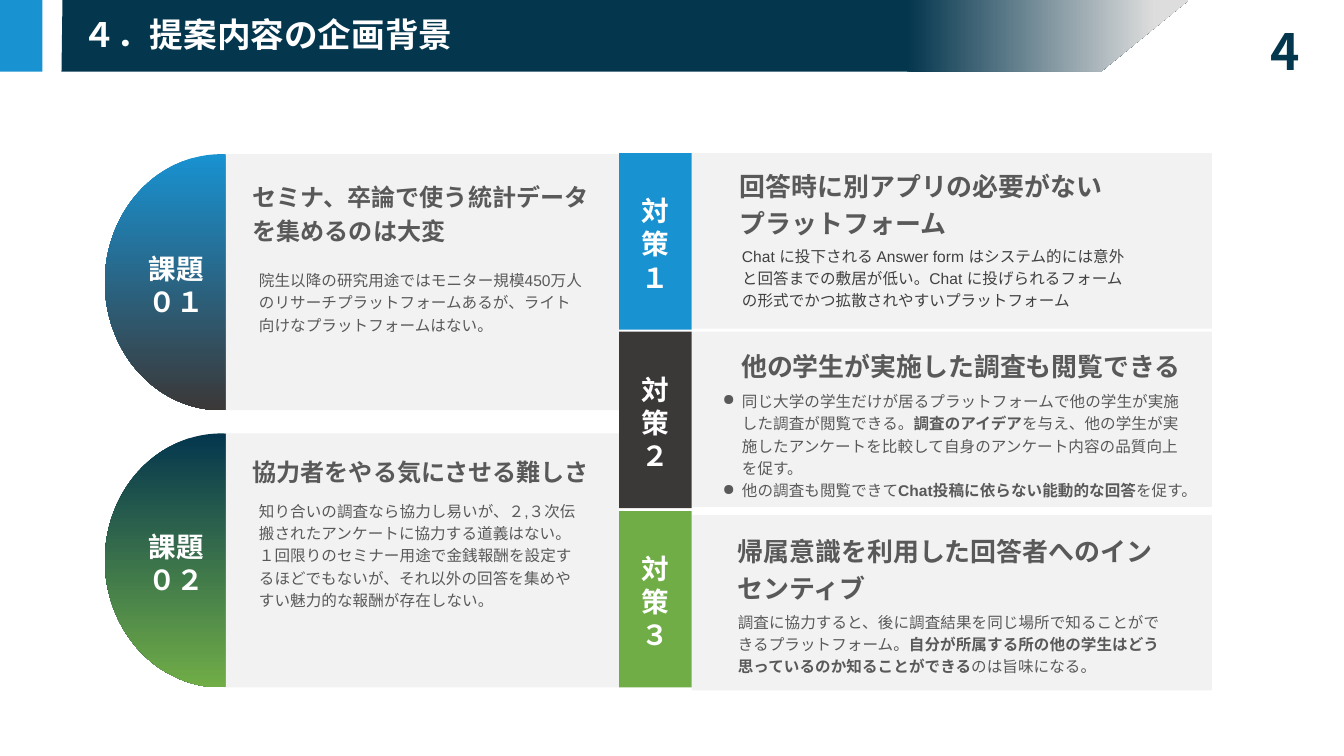
from dataclasses import dataclass

from lxml import etree
from pptx import Presentation
from pptx.dml.color import RGBColor
from pptx.enum.shapes import MSO_SHAPE
from pptx.enum.text import MSO_ANCHOR, MSO_AUTO_SIZE, PP_ALIGN
from pptx.oxml.ns import qn
from pptx.util import Inches, Pt

RECT, CHORD = MSO_SHAPE.RECTANGLE, MSO_SHAPE.CHORD
LEFT, CENTER, RIGHT = PP_ALIGN.LEFT, PP_ALIGN.CENTER, PP_ALIGN.RIGHT
TOP, MIDDLE = MSO_ANCHOR.TOP, MSO_ANCHOR.MIDDLE


@dataclass(frozen=True)
class Theme:
    navy: str = "04364E"
    blue: str = "1892D1"
    green: str = "70AD47"
    dark: str = "3B3838"
    silver: str = "DDDDDD"
    card: str = "F2F2F2"
    white: str = "FFFFFF"
    text: str = "595959"
    strong: str = "404040"
    latin: str = "Arial"
    cjk: str = "Noto Sans CJK JP"
    number: float = 35.7
    title: float = 24
    label: float = 19.7
    measure_head: float = 18.5
    issue_head: float = 17.2
    body: float = 11.1


T = Theme()


def style_run(r, size, color, bold, font):
    for name, value in {"size": Pt(size), "bold": bold, "name": font}.items():
        setattr(r.font, name, value)
    r.font.color.rgb = RGBColor.from_string(color)
    etree.SubElement(r._r.get_or_add_rPr(), qn("a:ea")).set("typeface", T.cjk)


def add_bullet(p):
    pPr = p._p.get_or_add_pPr()
    pPr.set("marL", str(Inches(0.19)))
    pPr.set("indent", str(-Inches(0.19)))
    etree.SubElement(pPr, qn("a:buChar")).set("char", "●")


def write(shape, paragraphs, size, color, bold=False, font=T.latin, align=LEFT,
          anchor=TOP, spacing=None, bullets=False, bottom=0.05):
    """Each paragraph is a list of runs; every second run is bold."""
    tf = shape.text_frame
    frame = {"word_wrap": True, "auto_size": MSO_AUTO_SIZE.NONE, "vertical_anchor": anchor,
             "margin_left": Inches(0.1), "margin_right": Inches(0.1),
             "margin_top": Inches(0.05), "margin_bottom": Inches(bottom)}
    for name, value in frame.items():
        setattr(tf, name, value)
    for i, runs in enumerate(paragraphs):
        p = tf.add_paragraph() if i else tf.paragraphs[0]
        if bullets:
            add_bullet(p)
        p.alignment = align
        if spacing:
            p.line_spacing = spacing
        for j, text in enumerate(runs):
            r = p.add_run()
            r.text = text
            style_run(r, size, color, bold or j % 2 == 1, font)


def add_text(s, box, paragraphs, size, color, **options):
    write(s.shapes.add_textbox(*map(Inches, box)), paragraphs, size, color, **options)


def fill_gradient(shape, stops, angle):
    """Stops are (percent, colour); the angle runs clockwise."""
    shape.fill.gradient()
    grad = shape._element.spPr.find(qn("a:gradFill"))
    stop_list = grad.find(qn("a:gsLst"))
    stop_list.clear()
    for percent, color in stops:
        gs = etree.SubElement(stop_list, qn("a:gs"), pos=str(percent * 1000))
        etree.SubElement(gs, qn("a:srgbClr"), val=color)
    grad.find(qn("a:lin")).set("ang", str(angle * 60000))


def finish(shape, color=None):
    shape.shadow.inherit = False
    shape.line.fill.background()
    if color:
        shape.fill.solid()
        shape.fill.fore_color.rgb = RGBColor.from_string(color)
    return shape


def add_block(s, box, color=None, kind=RECT):
    return finish(s.shapes.add_shape(kind, *map(Inches, box)), color)


def add_header(s, title, number):
    builder = s.shapes.build_freeform(Inches(0.62), 0)
    corners = [(11.79, 0), (10.92, 0.71), (0.61, 0.71)]
    builder.add_line_segments([(Inches(x), Inches(y)) for x, y in corners])
    banner = finish(builder.convert_to_shape())
    fill_gradient(banner, [(0, T.navy), (75, T.navy), (97, T.silver)], 0)
    add_block(s, (0, 0, 0.42, 0.71), T.blue)
    add_text(s, (11.34, 0.24, 1.65, 0.52), [[number]], T.number, T.navy, bold=True,
             font=T.cjk, align=RIGHT, anchor=MIDDLE)
    heading = s.shapes.title
    place = {"left": 0.72, "top": 0.09, "width": 3.98, "height": 0.5}
    for name, value in place.items():
        setattr(heading, name, Inches(value))
    write(heading, [[title]], T.title, T.white, bold=True)
    s.shapes._spTree.append(heading._element)  # bring the title in front of the banner


def add_issue(s, top, height, number, colors, head, head_top, body, body_top):
    chord = add_block(s, (1.04, top, 2.31, height), kind=CHORD)
    chord.adjustments[0], chord.adjustments[1] = 51.83, 163.45
    fill_gradient(chord, [(0, colors[0]), (100, colors[1])], 90)
    write(chord, [["課題"], [number]], T.label, T.white, bold=True, anchor=MIDDLE, bottom=0)
    add_block(s, (2.24, top, 3.9, height), T.card)
    add_text(s, (2.41, head_top, 3.74, 0.78), [[head]], T.issue_head, T.text,
             bold=True, spacing=1.2)
    add_text(s, (2.47, body_top, 3.41, 1.21), [[body]], T.body, T.text, spacing=1.2)


def add_measure(s, top, card_top, label, color, head, head_box, body, body_box,
                head_align=LEFT, body_color=T.text):
    add_block(s, (6.86, card_top, 5.16, 1.74), T.card)
    tab = add_block(s, (6.14, top, 0.72, 1.75), color)
    write(tab, label, T.label, T.white, bold=True, font=T.cjk, align=CENTER,
          anchor=MIDDLE, bottom=0)
    add_text(s, head_box, [[head]], T.measure_head, T.text, bold=True,
             align=head_align, spacing=1.2)
    add_text(s, body_box, body, T.body, body_color, spacing=1.2, bullets=len(body) > 1)


def main():
    prs = Presentation()
    prs.slide_width, prs.slide_height = Inches(13.33), Inches(7.5)
    s = prs.slides.add_slide(prs.slide_layouts[5])
    add_header(s, "４．提案内容の企画背景", "4")

    add_issue(s, 1.53, 2.54, "０１", (T.blue, T.dark),
              "セミナ、卒論で使う統計データを集めるのは大変", 1.7,
              "院生以降の研究用途ではモニター規模450万人のリサーチプラットフォームあるが、"
              "ライト向けなプラットフォームはない。", 2.6)
    add_issue(s, 4.3, 2.52, "０２", (T.navy, T.green),
              "協力者をやる気にさせる難しさ", 4.43,
              "知り合いの調査なら協力し易いが、２,３次伝搬されたアンケートに協力する道義はない。"
              "１回限りのセミナー用途で金銭報酬を設定するほどでもないが、"
              "それ以外の回答を集めやすい魅力的な報酬が存在しない。", 4.89)

    add_measure(s, 1.52, 1.52, [["対策"], ["１"]], T.blue,
                "回答時に別アプリの必要がないプラットフォーム", (7.24, 1.58, 3.86, 0.83),
                [["Chat に投下される Answer form はシステム的には意外と回答までの敷居が低い。"
                  "Chat に投げられるフォームの形式でかつ拡散されやすいプラットフォーム"]],
                (7.26, 2.36, 4.09, 0.76), body_color=T.strong)
    add_measure(s, 3.29, 3.29, [["対策２"]], T.dark,
                "他の学生が実施した調査も閲覧できる", (7.24, 3.37, 4.58, 0.45),
                [["同じ大学の学生だけが居るプラットフォームで他の学生が実施した調査が閲覧できる。",
                  "調査のアイデア",
                  "を与え、他の学生が実施したアンケートを比較して"
                  "自身のアンケート内容の品質向上を促す。"],
                 ["他の調査も閲覧できて", "Chat投稿に依らない能動的な回答", "を促す。"]],
                (7.07, 3.8, 4.86, 1.21), head_align=CENTER)
    add_measure(s, 5.07, 5.11, [["対策"], ["３"]], T.green,
                "帰属意識を利用した回答者へのインセンティブ", (7.22, 5.2, 4.43, 0.83),
                [["調査に協力すると、後に調査結果を同じ場所で知ることができるプラットフォーム。",
                  "自分が所属する所の他の学生はどう思っているのか知ることができる",
                  "のは旨味になる。"]],
                (7.22, 5.99, 4.43, 0.76))
    prs.save("out.pptx")


if __name__ == "__main__":
    main()
